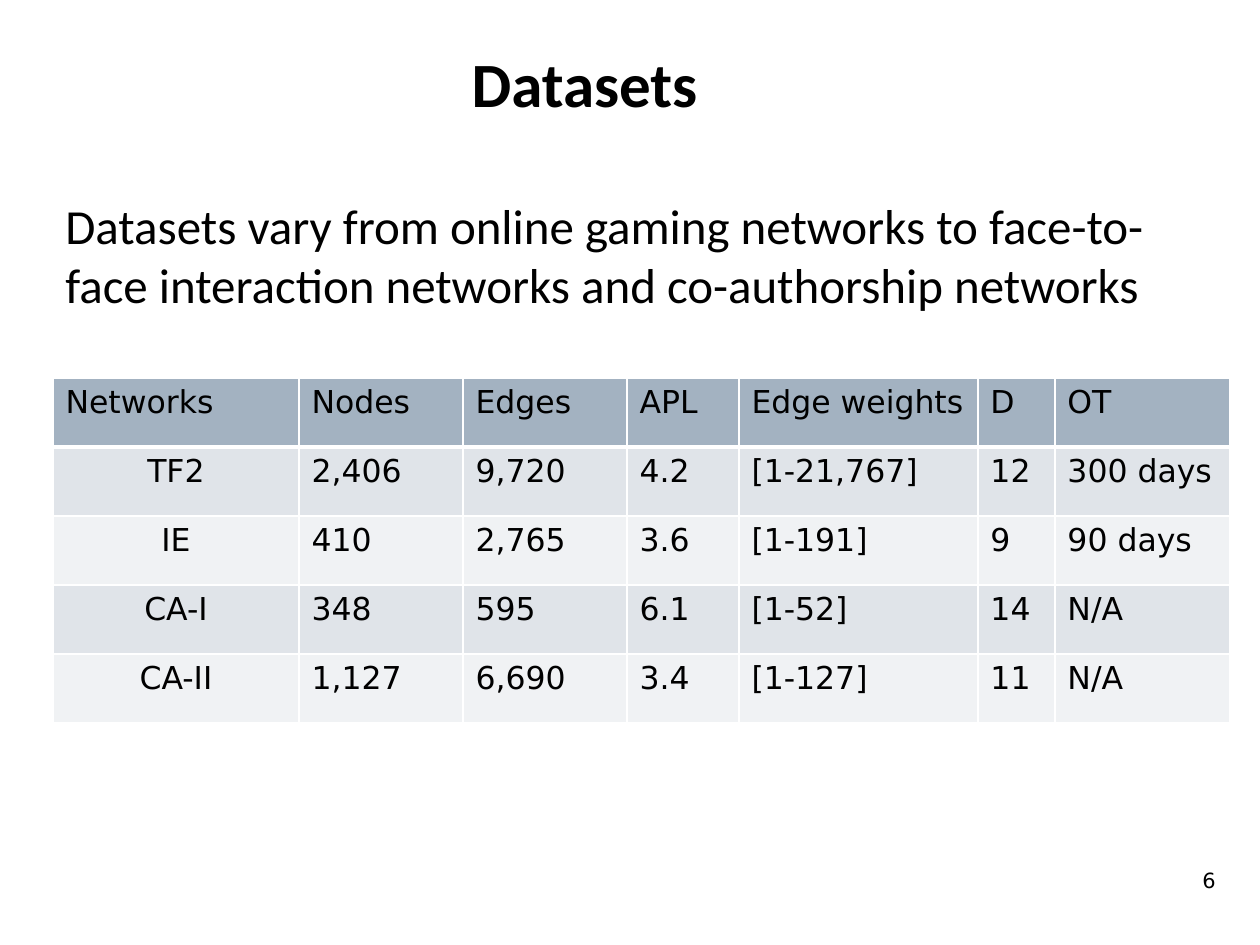
"""Build the Datasets slide with its table of network statistics."""
import pptx
import pptx.dml.color
import pptx.enum.text
import pptx.oxml.ns
import pptx.util
from lxml import etree

EMU_PER_PX = 914400 / 126
COLORS = {
    "text": "000000",
    "border": "FFFFFF",
    "header": "A3B2C1",
    "odd": "E0E4E9",
    "even": "F0F2F4",
}
ALIGN = pptx.enum.text.PP_ALIGN
ANCHOR = pptx.enum.text.MSO_ANCHOR
COLUMN_WIDTHS = [246, 164, 164, 112, 239, 77, 175]
ROW_HEIGHT = 69
ROWS = [
    ["Networks", "Nodes", "Edges", "APL", "Edge weights", "D", "OT"],
    ["TF2", "2,406", "9,720", "4.2", "[1-21,767]", "12", "300 days"],
    ["IE", "410", "2,765", "3.6", "[1-191]", "9", "90 days"],
    ["CA-I", "348", "595", "6.1", "[1-52]", "14", "N/A"],
    ["CA-II", "1,127", "6,690", "3.4", "[1-127]", "11", "N/A"],
]


def px(length):
    return pptx.util.Emu(round(length * EMU_PER_PX))


def rgb(name):
    return pptx.dml.color.RGBColor.from_string(COLORS[name])


class SlideBuilder:
    def __init__(self, slide, heading_font, table_font):
        self.slide = slide
        self.heading_font = heading_font
        self.table_font = table_font

    def add_run(self, paragraph, text, font, size, bold=False, align=ALIGN.LEFT):
        paragraph.alignment = align
        run = paragraph.add_run()
        run.text = text
        run.font.name = font
        run.font.size = pptx.util.Pt(size)
        run.font.bold = bold
        run.font.color.rgb = rgb("text")

    def text(self, box, text, font, size, bold=False, align=ALIGN.LEFT,
             anchor=ANCHOR.TOP, indent=0, line_spacing=1.0):
        shape = self.slide.shapes.add_textbox(*map(px, box))
        frame = shape.text_frame
        frame.word_wrap = True
        frame.vertical_anchor = anchor
        frame.margin_left += px(indent)
        paragraph = frame.paragraphs[0]
        paragraph.line_spacing = line_spacing
        self.add_run(paragraph, text, font, size, bold, align)

    def border(self, cell, side, width):
        properties = cell._tc.get_or_add_tcPr()
        line = etree.SubElement(properties, pptx.oxml.ns.qn(f"a:ln{side}"),
                                w=str(pptx.util.Pt(width)))
        fill = etree.SubElement(line, pptx.oxml.ns.qn("a:solidFill"))
        etree.SubElement(fill, pptx.oxml.ns.qn("a:srgbClr"), val=COLORS["border"])

    def cell(self, cell, text, row, column):
        widths = {"L": 1, "R": 1, "T": 3 if row == 1 else 1, "B": 3 if row == 0 else 1}
        for side, width in widths.items():
            self.border(cell, side, width)
        cell.fill.solid()
        cell.fill.fore_color.rgb = rgb("header" if row == 0 else "odd" if row % 2 else "even")
        align = ALIGN.CENTER if row and column == 0 else ALIGN.LEFT
        self.add_run(cell.text_frame.paragraphs[0], text, self.table_font, 18, align=align)

    def table(self, left, top, column_widths, row_height, rows):
        box = map(px, (left, top, sum(column_widths), row_height * len(rows)))
        table = self.slide.shapes.add_table(len(rows), len(column_widths), *box).table
        for column, width in zip(table.columns, column_widths):
            column.width = px(width)
        for row, values in enumerate(rows):
            table.rows[row].height = px(row_height)
            for column, value in enumerate(values):
                self.cell(table.cell(row, column), value, row, column)


def main():
    presentation = pptx.Presentation()
    presentation.slide_width = px(1260)
    presentation.slide_height = px(945)
    slide = presentation.slides.add_slide(presentation.slide_layouts[6])
    builder = SlideBuilder(slide, "Calibri", "DejaVu Sans")
    builder.text((63, 21, 1176, 105), "Datasets", builder.heading_font, 36, bold=True,
                 anchor=ANCHOR.BOTTOM, indent=396, line_spacing=1.3)
    builder.text((955, 861, 273, 66), "6", builder.table_font, 12, align=ALIGN.RIGHT)
    builder.table(53, 378, COLUMN_WIDTHS, ROW_HEIGHT, ROWS)
    builder.text((53, 189, 1176, 131),
                 "Datasets vary from online gaming networks to face-to-face interaction "
                 "networks and co-authorship networks", builder.heading_font, 28)
    presentation.save("out.pptx")


if __name__ == "__main__":
    main()
